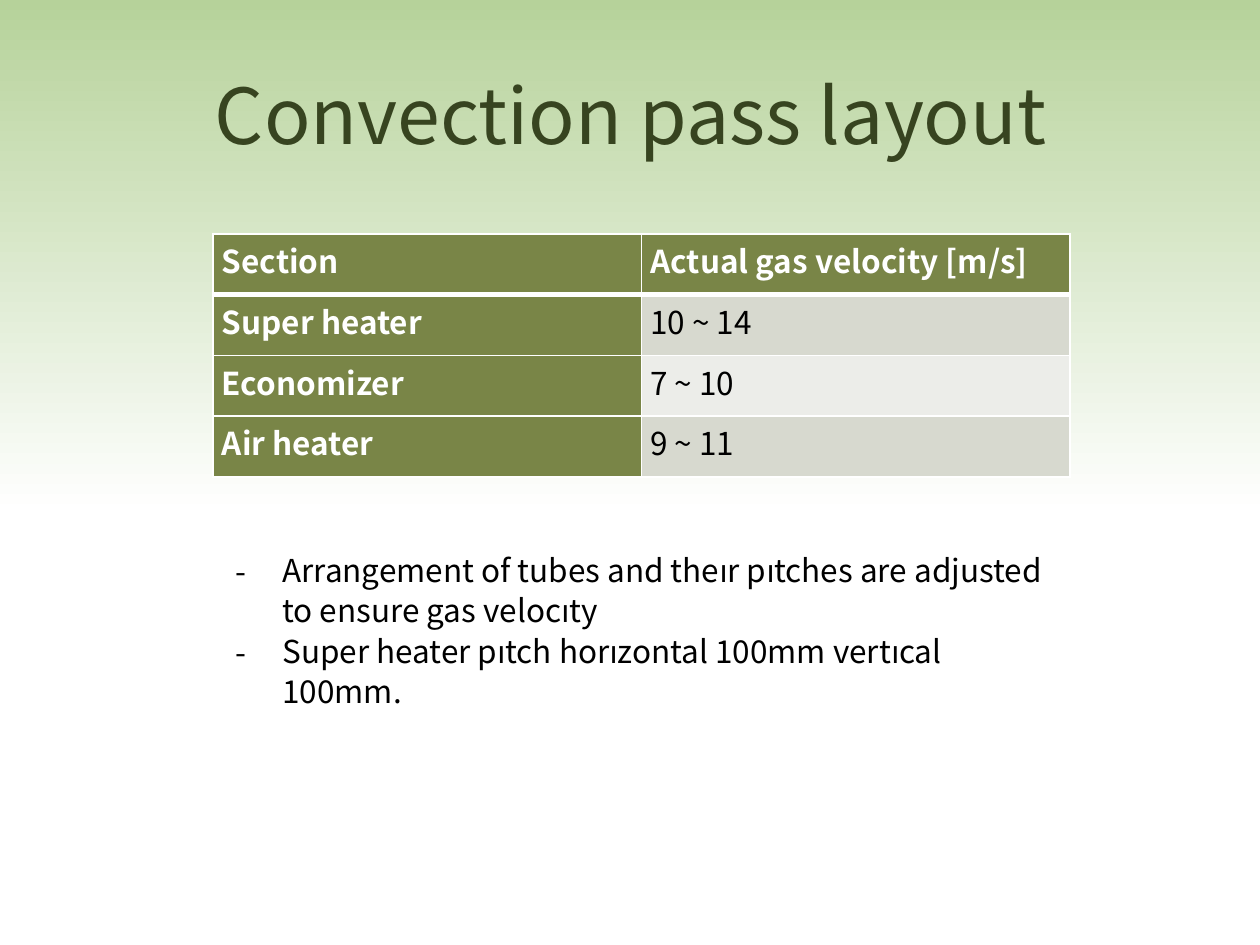
from lxml.etree import SubElement
from pptx import Presentation
from pptx.dml.color import RGBColor
from pptx.enum.shapes import MSO_SHAPE as Shape
from pptx.enum.text import MSO_ANCHOR as Anchor, PP_ALIGN as Align
from pptx.oxml.ns import qn
from pptx.util import Pt

PX = 914400 / 126


def emu(px):
    return round(px * PX)


def color(value):
    return RGBColor.from_string(value)


def set_all(target, values):
    for name, value in values.items():
        setattr(target, name, value)


class SlideBuilder:
    """Draws styled elements on the current slide."""

    FONT = "Noto Sans CJK KR"
    OLIVE, WHITE, BLACK = "798547", "FFFFFF", "000000"
    BANDS = ("D7D9CF", "ECEDE9")
    SPACING = 1.07

    def __init__(self, slide):
        self.slide = slide

    def add_text(self, paragraph, text, size, fill, bold=False, **layout):
        set_all(paragraph, layout)
        run = paragraph.add_run()
        run.text = text
        set_all(run.font, {"name": self.FONT, "size": Pt(size), "bold": bold})
        run.font.color.rgb = color(fill)

    def text_frame(self, box, anchor):
        frame = self.slide.shapes.add_textbox(*map(emu, box)).text_frame
        set_all(frame, {"word_wrap": True, "vertical_anchor": anchor})
        return frame

    def gradient(self, box, start, end):
        shape = self.slide.shapes.add_shape(Shape.RECTANGLE, *map(emu, box))
        shape.shadow.inherit = False
        shape.line.fill.background()
        shape.fill.gradient()
        shape.fill.gradient_angle = 270
        for stop, position, value in zip(shape.fill.gradient_stops, (0, 1), (start, end)):
            stop.position = position
            stop.color.rgb = color(value)

    def title(self, box, text):
        frame = self.text_frame(box, Anchor.MIDDLE)
        self.add_text(frame.paragraphs[0], text, 44, "374420", alignment=Align.CENTER)

    def border(self, cell, side, width):
        line = SubElement(cell._tc.get_or_add_tcPr(), qn(f"a:ln{side}"), w=str(Pt(width)))
        fill = SubElement(line, qn("a:solidFill"))
        SubElement(fill, qn("a:srgbClr"), val=self.WHITE)

    def cell(self, cell, text, row, column):
        heading = row == 0 or column == 0
        margins = {"margin_left": emu(9), "margin_right": emu(9),
                   "margin_top": 0, "margin_bottom": 0}
        set_all(cell, margins)
        thick = {(0, "B"), (1, "T")}
        for side in "LRTB":
            self.border(cell, side, 3 if (row, side) in thick else 1)
        cell.fill.solid()
        cell.fill.fore_color.rgb = color(self.OLIVE if heading else self.BANDS[(row - 1) % 2])
        self.add_text(cell.text_frame.paragraphs[0], text, 18,
                      self.WHITE if heading else self.BLACK, heading, line_spacing=self.SPACING)

    def table(self, box, rows):
        frame = self.slide.shapes.add_table(len(rows), len(rows[0]), *map(emu, box))
        for row, values in enumerate(rows):
            for column, text in enumerate(values):
                self.cell(frame.table.cell(row, column), text, row, column)

    def dash_list(self, box, items):
        frame = self.text_frame(box, Anchor.TOP)
        for index, text in enumerate(items):
            paragraph = frame.add_paragraph() if index else frame.paragraphs[0]
            self.add_text(paragraph, text, 18, self.BLACK, line_spacing=self.SPACING,
                          space_after=Pt(8 if index == len(items) - 1 else 0))
            properties = paragraph._p.get_or_add_pPr()
            properties.set("marL", str(emu(47)))
            properties.set("indent", str(-emu(47)))
            SubElement(properties, qn("a:buFont"), typeface=self.FONT)
            SubElement(properties, qn("a:buChar"), char="-")


def main():
    presentation = Presentation()
    set_all(presentation, {"slide_width": emu(1260), "slide_height": emu(945)})
    builder = SlideBuilder(presentation.slides.add_slide(presentation.slide_layouts[6]))
    builder.gradient((0, 0, 1260, 514), "B6D29A", "FFFFFF")
    builder.title((64, 35, 1134, 158), "Convection pass layout")
    builder.table((213, 234, 857, 243), [
        ("Section", "Actual gas velocity [m/s]"),
        ("Super heater", "10 ~ 14"),
        ("Economizer", "7 ~ 10"),
        ("Air heater", "9 ~ 11"),
    ])
    builder.dash_list((223, 542, 843, 135), [
        "Arrangement of tubes and theır pıtches are adjusted to ensure gas velocıty",
        "Super heater pıtch horızontal 100mm vertıcal 100mm.",
    ])
    presentation.save("out.pptx")


if __name__ == "__main__":
    main()
